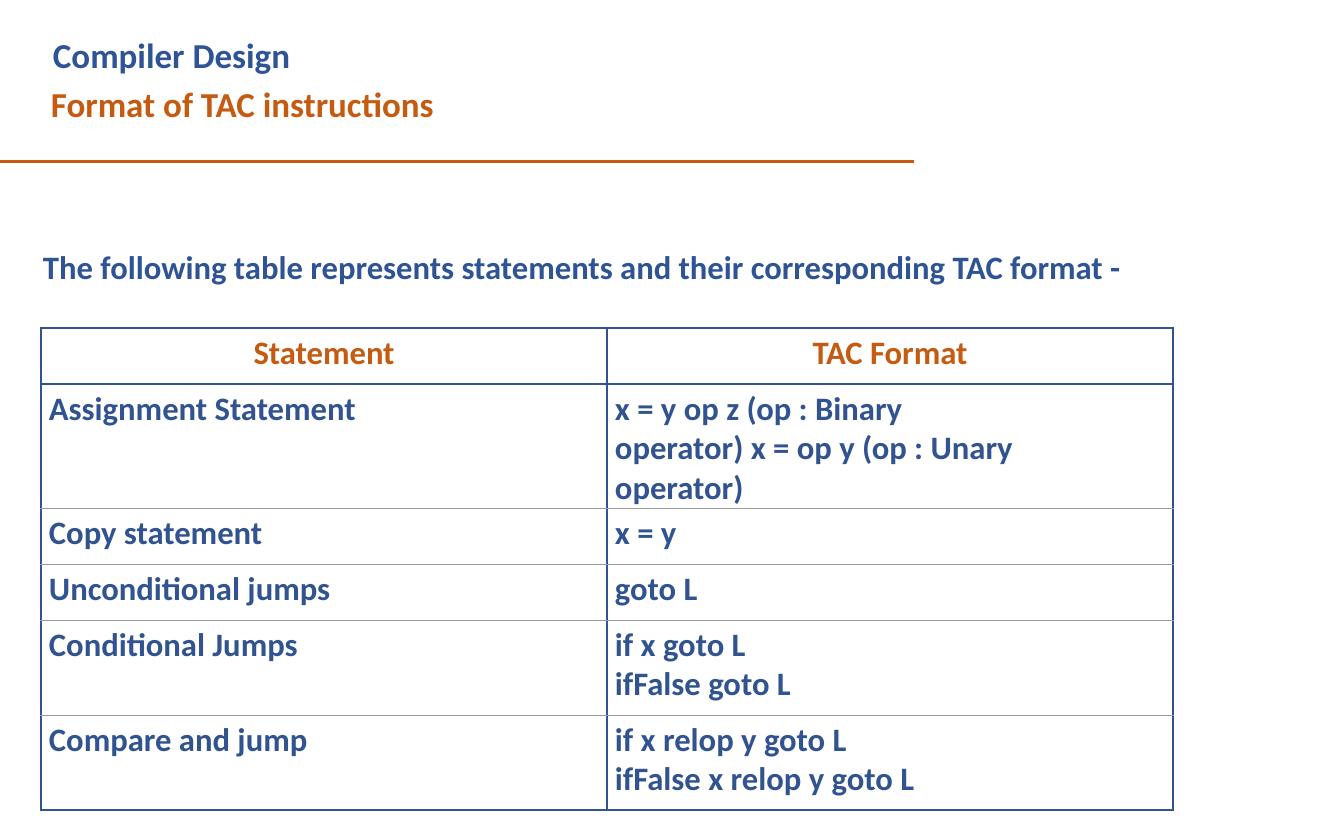
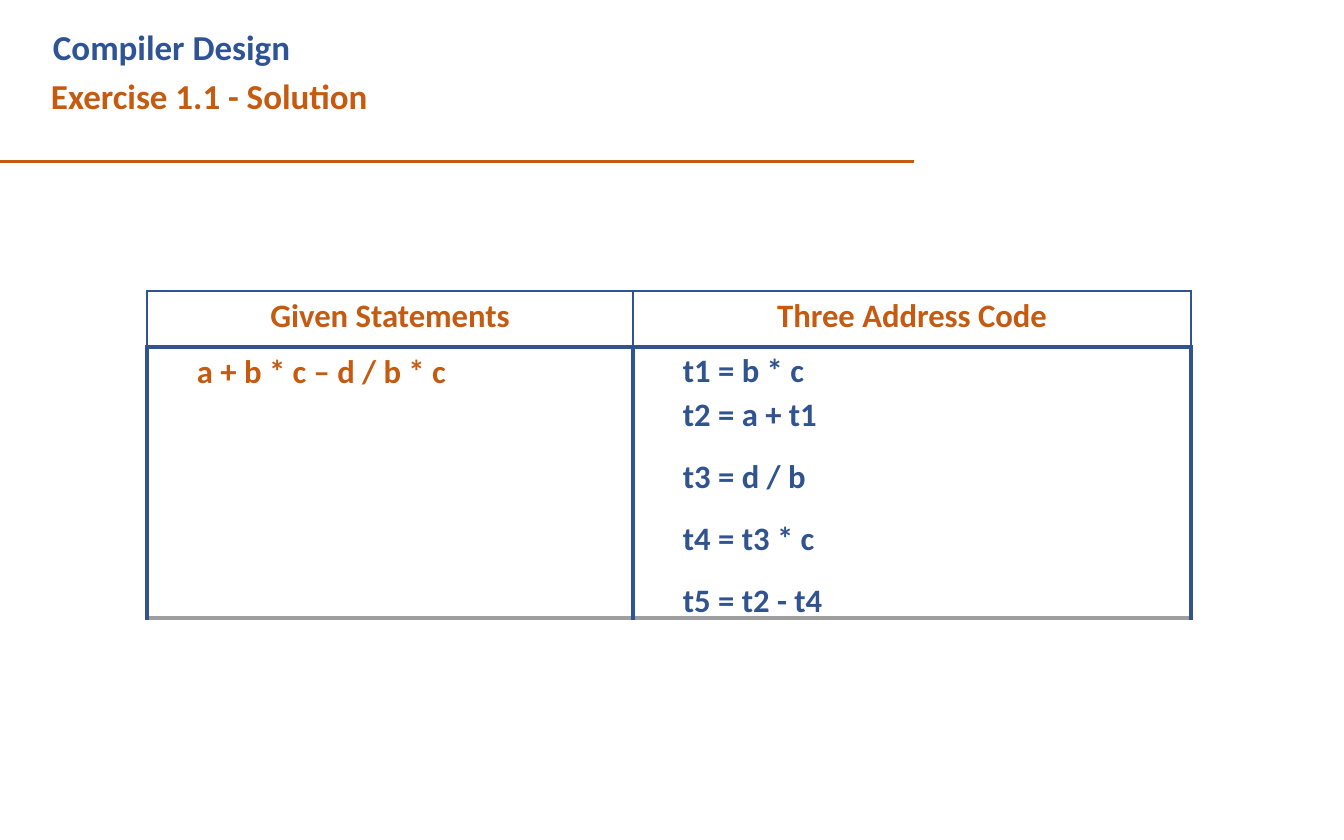
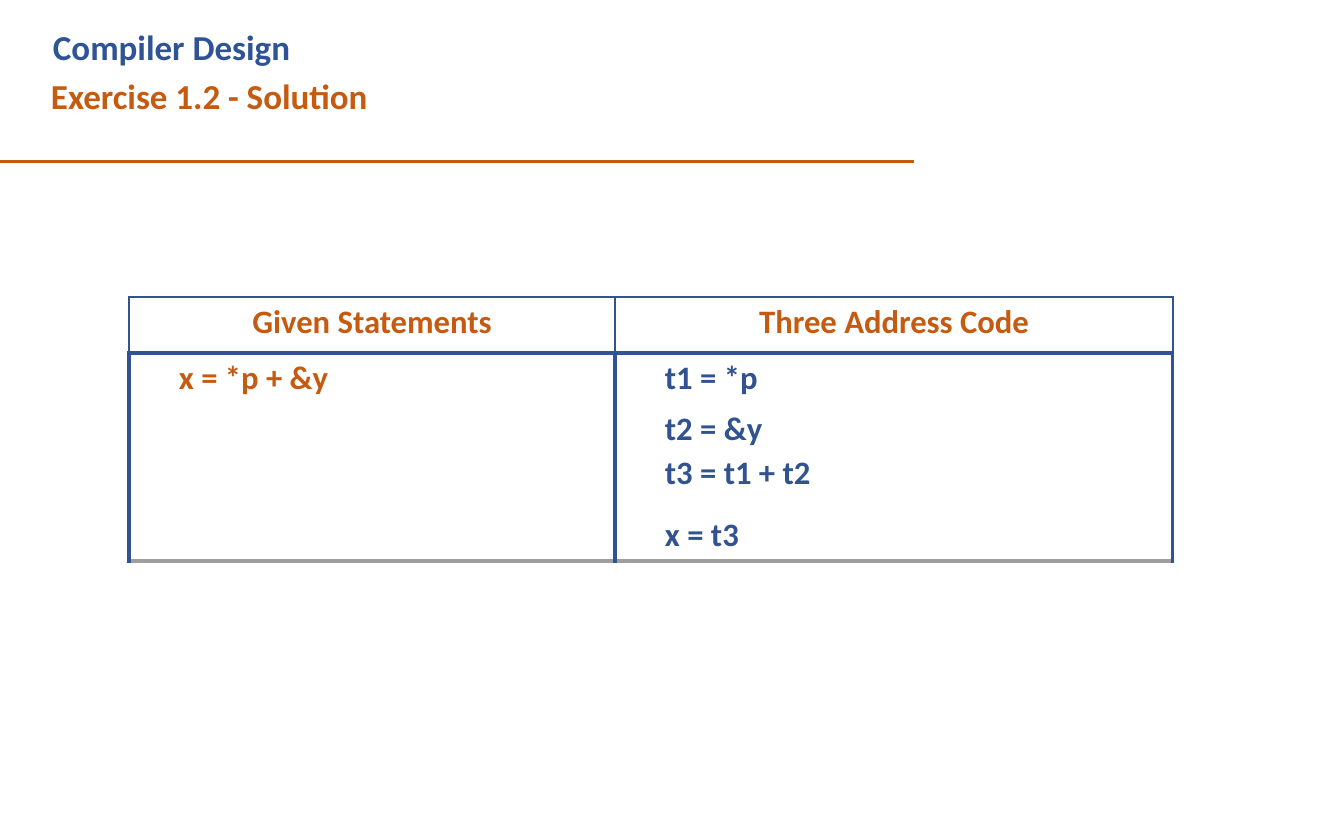
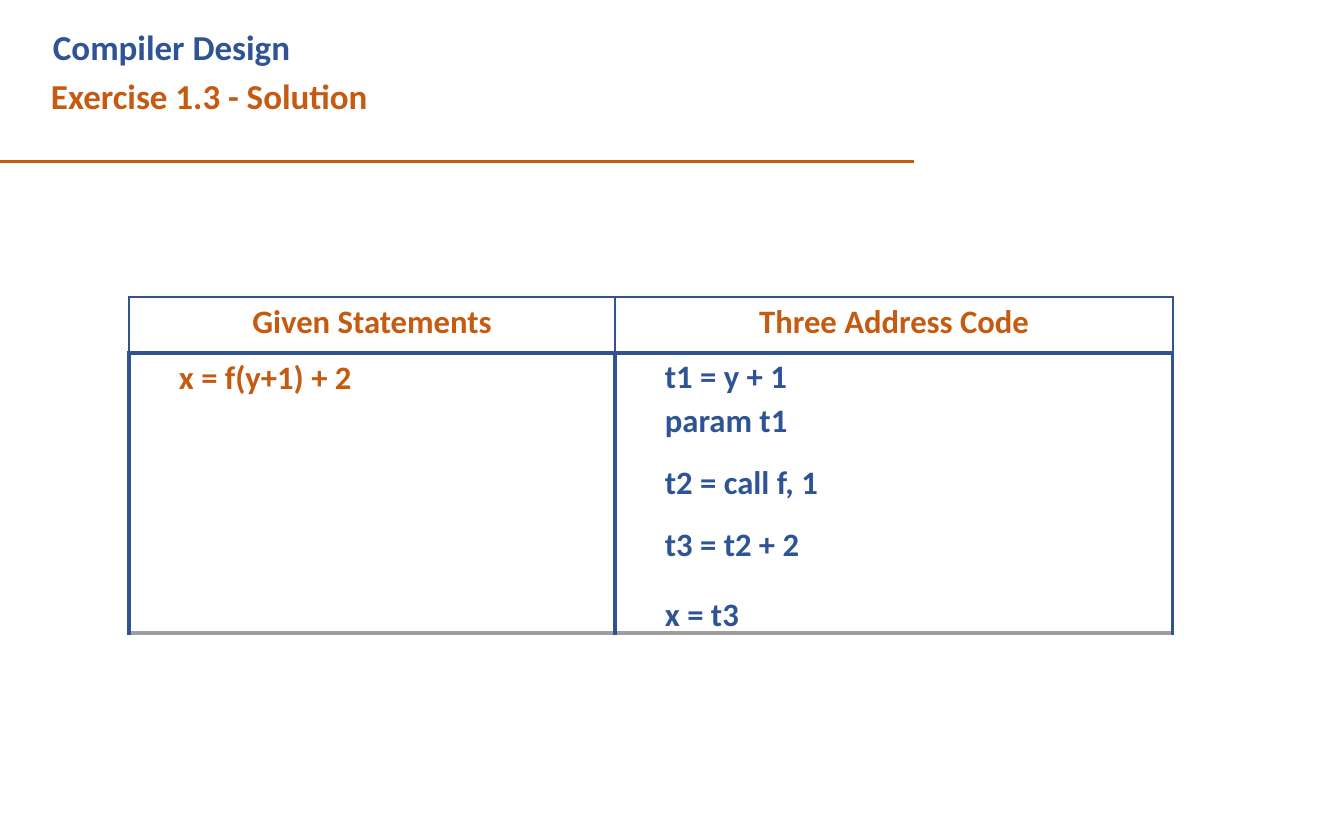
import pptx
import pptx.util
import pptx.dml.color
import pptx.enum.shapes
import pptx.enum.text
import pptx.oxml
import pptx.oxml.ns

PX = 914400 // 84
COLORS = {"blue": "2F5496", "navy": "31538F", "orange": "C55A11", "gray": "9E9E9E"}
FONT = "Calibri"
COURSE = "Compiler Design"
HEADER_ROW = 56
CODE_COLUMNS = [486, 558]
CODE_HEADINGS = ["Given Statements", "Three Address Code"]
CODE_INDENT = 50
CENTER = pptx.enum.text.PP_ALIGN.CENTER

# A paragraph is its text (\v breaks a line) followed by its format values.
TAC_FORMATS = [
    ("Assignment Statement",
     "x = y op z (op : Binary\voperator) x = op y (op : Unary\voperator)", 124),
    ("Copy statement", "x = y", 56),
    ("Unconditional jumps", "goto L", 56),
    ("Conditional Jumps", "if x goto L\vifFalse goto L", 95),
    ("Compare and jump", "if x relop y goto L\vifFalse x relop y goto L", 95),
]
INTRO = "The following table represents statements and their corresponding TAC format -"

EXERCISES = [
    {"title": "Exercise 1.1 - Solution", "at": (147, 291), "height": 271,
     "given": "a + b * c – d / b * c", "color": "navy", "inset": 1,
     "code": [("t1 = b * c\vt2 = a + t1", {"line_spacing": 1.09}),
              ("t3 = d / b\vt4 = t3 * c\vt5 = t2 - t4", {"line_spacing": 1.56})]},
    {"title": "Exercise 1.2 - Solution", "at": (129, 297), "height": 208,
     "given": "x = *p + &y", "color": "navy", "inset": 5,
     "code": [("t1 = *p", {}),
              ("t2 = &y", {"space_before": pptx.util.Pt(10)}),
              ("t3 = t1 + t2", {"space_before": pptx.util.Pt(3)}),
              ("x = t3", {"space_before": pptx.util.Pt(19)})]},
    {"title": "Exercise 1.3 - Solution", "at": (129, 297), "height": 280,
     "given": "x = f(y+1) + 2", "color": "blue", "inset": 1,
     "code": [("t1 = y + 1\vparam t1", {"line_spacing": 1.09}),
              ("t2 = call f, 1\vt3 = t2 + 2", {"line_spacing": 1.56}),
              ("x = t3", {"space_before": pptx.util.Pt(25.6)})]},
]


def px(*lengths):
    return [length * PX for length in lengths]


def rgb(name):
    return pptx.dml.color.RGBColor.from_string(COLORS[name])


def write(frame, paragraphs, color, size=28):
    """Fill a text frame with (text, format) pairs in one bold style."""
    frame.word_wrap = True
    for index, (text, values) in enumerate(paragraphs):
        paragraph = frame.paragraphs[0] if index == 0 else frame.add_paragraph()
        paragraph.text = text
        for name, value in values.items():
            setattr(paragraph, name, value)
        for run in paragraph.runs:
            style = {"name": FONT, "size": pptx.util.Pt(size), "bold": True}
            for name, value in style.items():
                setattr(run.font, name, value)
            run.font.color.rgb = rgb(color)


def set_margins(target, left=0, top=0):
    margins = {"margin_left": left, "margin_top": top,
               "margin_right": 0, "margin_bottom": 0}
    for name, value in margins.items():
        setattr(target, name, value * PX)


def add_text(slide, box, text, color, size=28):
    frame = slide.shapes.add_textbox(*px(*box)).text_frame
    set_margins(frame)
    write(frame, [(text, {})], color, size)


def add_slide(deck, title, top, width):
    """Add a slide with the course name, its title and the rule below them."""
    slide = deck.slides.add_slide(deck.slide_layouts[6])
    add_text(slide, (53, top, width, 43), COURSE, "blue", 30)
    add_text(slide, (51, top + 49, width, 43), title, "orange", 30)
    rule = slide.shapes.add_shape(
        pptx.enum.shapes.MSO_SHAPE.RECTANGLE, *px(0, 160, 914, 3))
    rule.shadow.inherit = False
    rule.fill.solid()
    rule.fill.fore_color.rgb = rgb("orange")
    rule.line.fill.background()
    return slide


def set_borders(cell, borders):
    """Draw the left, right, top and bottom borders, each (colour, points)."""
    properties = cell._tc.get_or_add_tcPr()
    for index, side in enumerate("LRTB"):
        color, points = borders[side]
        properties.insert(index, pptx.oxml.parse_xml(
            f'<a:ln{side} {pptx.oxml.ns.nsdecls("a")} w="{int(points * 12700)}">'
            f'<a:solidFill><a:srgbClr val="{COLORS[color]}"/></a:solidFill>'
            f'</a:ln{side}>'))


def add_table(slide, at, columns, heights, headings):
    """Add an unstyled table with its heading row."""
    frame = slide.shapes.add_table(len(heights), len(columns),
                                   *px(*at, sum(columns), sum(heights)))
    table = frame.table
    table.first_row = table.horz_banding = False
    for column, width in zip(table.columns, columns):
        column.width = width * PX
    for row, height in zip(table.rows, heights):
        row.height = height * PX
    for index, heading in enumerate(headings):
        fill_cell(table.cell(0, index), [(heading, {"alignment": CENTER})],
                  "orange", dict.fromkeys("LRTB", ("navy", 2.25)))
    return table


def fill_cell(cell, paragraphs, color, borders, left=0, top=5):
    cell.fill.background()
    set_margins(cell, left, top)
    write(cell.text_frame, paragraphs, color)
    set_borders(cell, borders)


def body_borders(column, top, bottom, points):
    """Navy outer sides, with a blue line between the two columns."""
    sides = [("navy", points), ("blue", points), ("navy", points)]
    return {"L": sides[column], "R": sides[column + 1], "T": top, "B": bottom}


def add_format_slide(deck):
    slide = add_slide(deck, "Format of TAC instructions", 34, 390)
    add_text(slide, (43, 247, 1100, 40), INTRO, "blue")
    heights = [HEADER_ROW] + [height for _, _, height in TAC_FORMATS]
    table = add_table(slide, (41, 328), [566, 566], heights,
                      ["Statement", "TAC Format"])
    outer, inner = ("navy", 2.25), ("gray", 0.75)
    for row, (statement, tac, _) in enumerate(TAC_FORMATS, 1):
        top = outer if row == 1 else inner
        bottom = outer if row == len(TAC_FORMATS) else inner
        for column, text in enumerate((statement, tac)):
            fill_cell(table.cell(row, column), [(text, {})], "navy",
                      body_borders(column, top, bottom, 2.25), left=8)


def add_exercise_slide(deck, exercise):
    slide = add_slide(deck, exercise["title"], 26, 330)
    table = add_table(slide, exercise["at"], CODE_COLUMNS,
                      [HEADER_ROW, exercise["height"]], CODE_HEADINGS)
    cells = [([(exercise["given"], {})], "orange", 5),
             (exercise["code"], exercise["color"], exercise["inset"])]
    for column, (paragraphs, color, inset) in enumerate(cells):
        borders = body_borders(column, ("navy", 3), ("gray", 3), 3)
        fill_cell(table.cell(1, column), paragraphs, color, borders,
                  CODE_INDENT, inset)


def main():
    deck = pptx.Presentation()
    deck.slide_width, deck.slide_height = px(1344, 840)
    add_format_slide(deck)
    for exercise in EXERCISES:
        add_exercise_slide(deck, exercise)
    deck.save("out.pptx")


if __name__ == "__main__":
    main()
